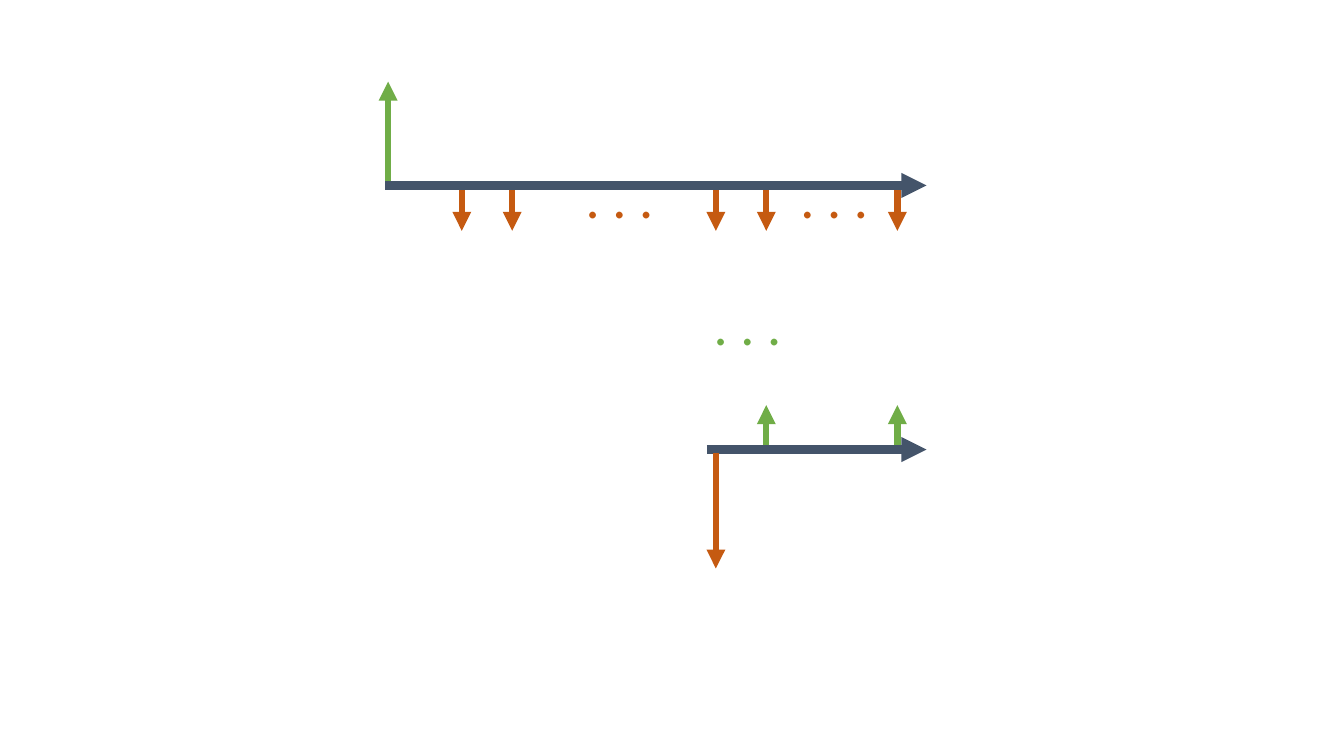
from lxml import etree
from pptx import Presentation
from pptx.dml.color import RGBColor
from pptx.enum.shapes import MSO_CONNECTOR
from pptx.enum.text import MSO_AUTO_SIZE
from pptx.oxml.ns import qn
from pptx.util import Inches, Pt

STRAIGHT = MSO_CONNECTOR.STRAIGHT
FIT_SHAPE = MSO_AUTO_SIZE.SHAPE_TO_FIT_TEXT
NAVY, GREEN, ORANGE = "44546A", "70AD47", "C55A11"
PAY_DATES = [4.58, 5.08, 7.1, 7.6, 8.9]
START, NEXT, LAST = PAY_DATES[2:]
AXIS_END = 9.19


def rgb(color):
    return RGBColor.from_string(color)


def add_arrow(s, x1, y1, x2, y2, color, width=4.5):
    line = s.shapes.add_connector(
        STRAIGHT, Inches(x1), Inches(y1), Inches(x2), Inches(y2))
    line.line.color.rgb = rgb(color)
    line.line.width = Pt(width)
    ln = line.line._get_or_add_ln()
    etree.SubElement(ln, qn("a:tailEnd"), type="triangle")
    etree.SubElement(ln.getparent(), qn("a:effectLst"))


def add_axis(s, left, y):
    add_arrow(s, left, y, AXIS_END, y, NAVY, 6)


def add_dots(s, left, top, color):
    box = s.shapes.add_textbox(
        Inches(left), Inches(top), Inches(0.89), Inches(0.77))
    tf = box.text_frame
    tf.word_wrap = False
    tf.auto_size = FIT_SHAPE
    p = tf.paragraphs[0]
    p.text = ". . ."
    p.font.name = "Calibri"
    p.font.size = Pt(40)
    p.font.color.rgb = rgb(color)


def add_full_timeline(s, left, y):
    add_axis(s, left, y)
    add_arrow(s, left + 0.03, y - 0.04, left + 0.03, y - 1.03, GREEN)
    for x in PAY_DATES:
        add_arrow(s, x, y + 0.05, x, y + 0.45, ORANGE)
    for x in (5.71, 7.84):
        add_dots(s, x, y - 0.28, ORANGE)


def add_late_timeline(s, left, y):
    add_axis(s, left, y)
    add_arrow(s, START, y + 0.03, START, y + 1.18, ORANGE)
    for x in (NEXT, LAST):
        add_arrow(s, x, y - 0.05, x, y - 0.44, GREEN)
    add_dots(s, left - 0.03, y - 1.64, GREEN)


def main():
    prs = Presentation()
    prs.slide_width = Inches(13.33)
    prs.slide_height = Inches(7.5)
    s = prs.slides.add_slide(prs.slide_layouts[6])
    add_full_timeline(s, 3.82, 1.84)
    add_late_timeline(s, 7.01, 4.46)
    prs.save("out.pptx")


if __name__ == "__main__":
    main()
